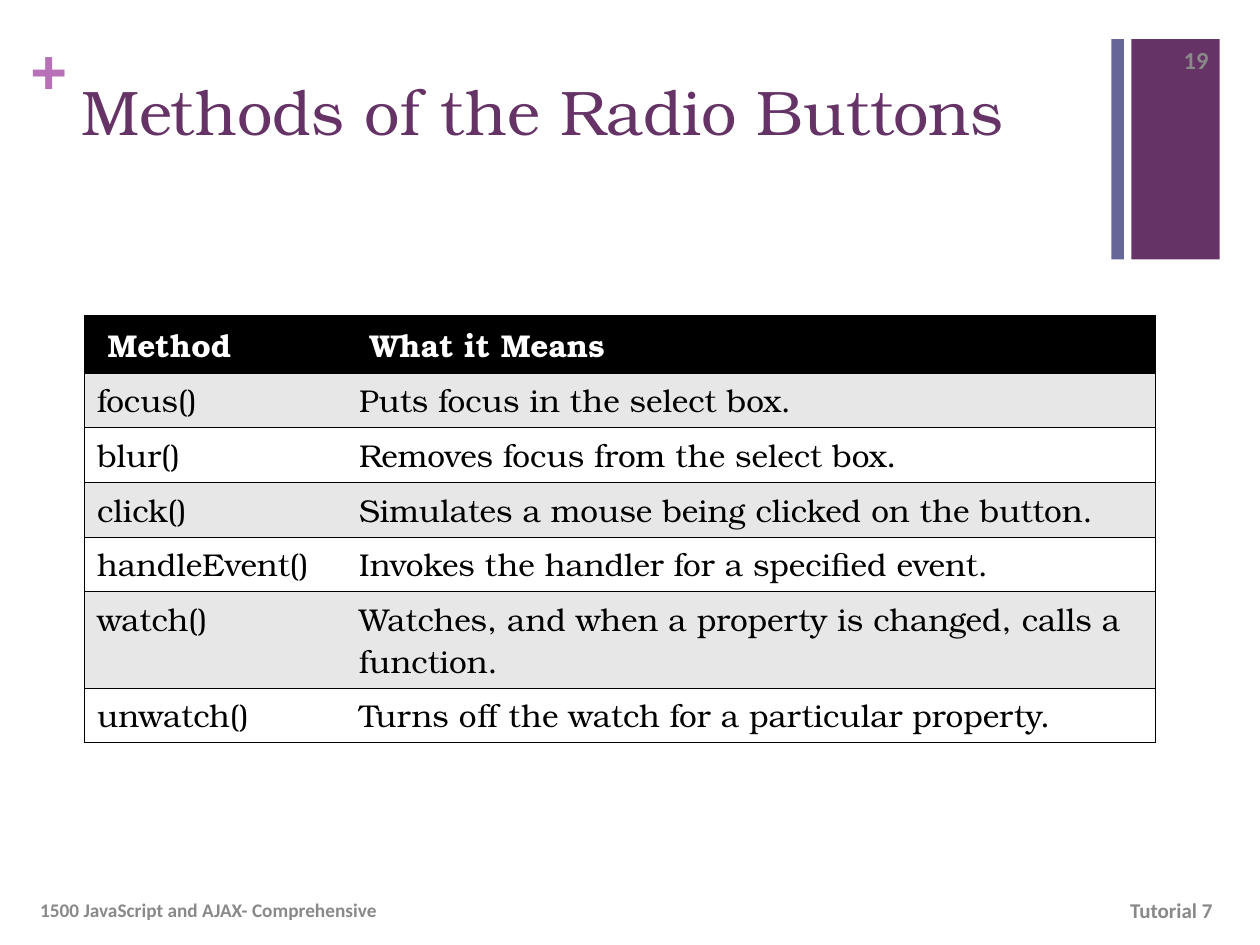
"""Build the slide listing the methods of the radio buttons."""
from lxml.etree import SubElement
from pptx import Presentation
from pptx.dml.color import RGBColor
from pptx.enum.shapes import MSO_SHAPE
from pptx.enum.text import MSO_ANCHOR, PP_ALIGN
from pptx.oxml.ns import qn
from pptx.util import Inches, Pt

WIDTH, HEIGHT = Inches(10), Inches(7.5)
COLS, ROWS = 100, 75
PURPLE = RGBColor(0x66, 0x33, 0x66)
SLATE = RGBColor(0x66, 0x66, 0x99)
ORCHID = RGBColor(0xB8, 0x70, 0xB8)
GRAY = RGBColor(0x89, 0x89, 0x89)
BAND = RGBColor(0xE7, 0xE7, 0xE7)
BLACK = RGBColor(0, 0, 0)
WHITE = RGBColor(0xFF, 0xFF, 0xFF)
SERIF, SANS = "TeX Gyre Bonum", "Calibri"

METHODS = [
    (" Method", " What it Means"),
    ("focus()", "Puts focus in the select box."),
    ("blur()", "Removes focus from the select box."),
    ("click()", "Simulates a mouse being clicked on the button."),
    ("handleEvent()", "Invokes the handler for a specified event."),
    ("watch()", "Watches, and when a property is changed, calls a function."),
    ("unwatch()", "Turns off the watch for a particular property."),
]
COLUMN_WIDTHS = (20.8, 64.2)
HEADER_HEIGHT, ROW_HEIGHT, TALL_ROW_HEIGHT = 4.6, 4.34, 7.66
ROW_HEIGHTS = [HEADER_HEIGHT, *[ROW_HEIGHT] * 4, TALL_ROW_HEIGHT, ROW_HEIGHT]


def grid_x(cols):
    """Convert grid columns to a length."""
    return round(WIDTH * cols / COLS)


def grid_y(rows):
    """Convert grid rows to a length."""
    return round(HEIGHT * rows / ROWS)


def place(col, row, cols, rows):
    """Return left, top, width and height for an area of the grid."""
    return grid_x(col), grid_y(row), grid_x(cols), grid_y(rows)


def add_run(p, text, size, font, color, bold=False):
    """Add a formatted run to a paragraph."""
    r = p.add_run()
    r.text = text
    r.font.size = Pt(size)
    r.font.name = font
    r.font.bold = bold
    r.font.color.rgb = color


def add_bar(s, area, color):
    """Add a plain filled rectangle."""
    sp = s.shapes.add_shape(MSO_SHAPE.RECTANGLE, *place(*area))
    sp.shadow.inherit = False
    sp.fill.solid()
    sp.fill.fore_color.rgb = color
    sp.line.fill.background()


def add_text(s, area, text, size, font, color, bold=True,
             align=PP_ALIGN.LEFT, anchor=MSO_ANCHOR.TOP, inset=True):
    """Add a wrapped text box with one line of text."""
    tf = s.shapes.add_textbox(*place(*area)).text_frame
    tf.word_wrap = True
    tf.vertical_anchor = anchor
    if not inset:
        tf.margin_left = tf.margin_right = tf.margin_top = tf.margin_bottom = 0
    p = tf.paragraphs[0]
    p.alignment = align
    add_run(p, text, size, font, color, bold)


def set_borders(cell, outer):
    """Rule a cell above, below and on its outer side only."""
    tc_pr = cell._tc.get_or_add_tcPr()
    for index, side in enumerate(("lnL", "lnR", "lnT", "lnB")):
        ruled = side in (outer, "lnT", "lnB")
        ln = SubElement(tc_pr, qn(f"a:{side}"), w=str(Pt(0.45)))
        tc_pr.remove(ln)
        tc_pr.insert(index, ln)
        fill = SubElement(ln, qn("a:solidFill" if ruled else "a:noFill"))
        if ruled:
            SubElement(fill, qn("a:srgbClr"), val=str(BLACK))


def fill_cell(cell, text, row, outer):
    """Write and style one cell of the method table."""
    header = row == 0
    cell.fill.solid()
    cell.fill.fore_color.rgb = BLACK if header else BAND if row % 2 else WHITE
    add_run(cell.text_frame.paragraphs[0], text, 18, SERIF,
            WHITE if header else BLACK, header)
    set_borders(cell, outer)


def add_method_table(s, col, row):
    """Add the banded table of methods and meanings."""
    area = place(col, row, sum(COLUMN_WIDTHS), sum(ROW_HEIGHTS))
    table = s.shapes.add_table(len(METHODS), len(COLUMN_WIDTHS), *area).table
    for column, width in zip(table.columns, COLUMN_WIDTHS):
        column.width = grid_x(width)
    for i, (method, height) in enumerate(zip(METHODS, ROW_HEIGHTS)):
        table.rows[i].height = grid_y(height)
        for j, (text, outer) in enumerate(zip(method, ("lnL", "lnR"))):
            fill_cell(table.cell(i, j), text, i, outer)


def main():
    """Build and save the slide."""
    prs = Presentation()
    prs.slide_width, prs.slide_height = WIDTH, HEIGHT
    s = prs.slides.add_slide(prs.slide_layouts[6])
    add_bar(s, (89.8, 3.1, 7, 17.5), PURPLE)
    add_text(s, (2.4, 2.5, 2.8, 6), "+", 36, "Arial", ORCHID, inset=False)
    add_bar(s, (88.2, 3.1, 1, 17.5), SLATE)
    add_text(s, (5.5, 5.3, 82.6, 12.2), "Methods of the Radio Buttons",
             36, SERIF, PURPLE, bold=False)
    add_method_table(s, 6.7, 25)
    middle = MSO_ANCHOR.MIDDLE
    add_text(s, (74.3, 70.2, 23.3, 4), "Tutorial 7 ", 12, SANS, GRAY,
             align=PP_ALIGN.RIGHT, anchor=middle)
    add_text(s, (2.2, 70.2, 67, 4), "1500 JavaScript and AJAX- Comprehensive",
             11, SANS, GRAY, anchor=middle)
    add_text(s, (90.8, 2.7, 6.1, 4), "19", 14, SANS, GRAY,
             align=PP_ALIGN.RIGHT, anchor=middle)
    prs.save("out.pptx")


if __name__ == "__main__":
    main()
